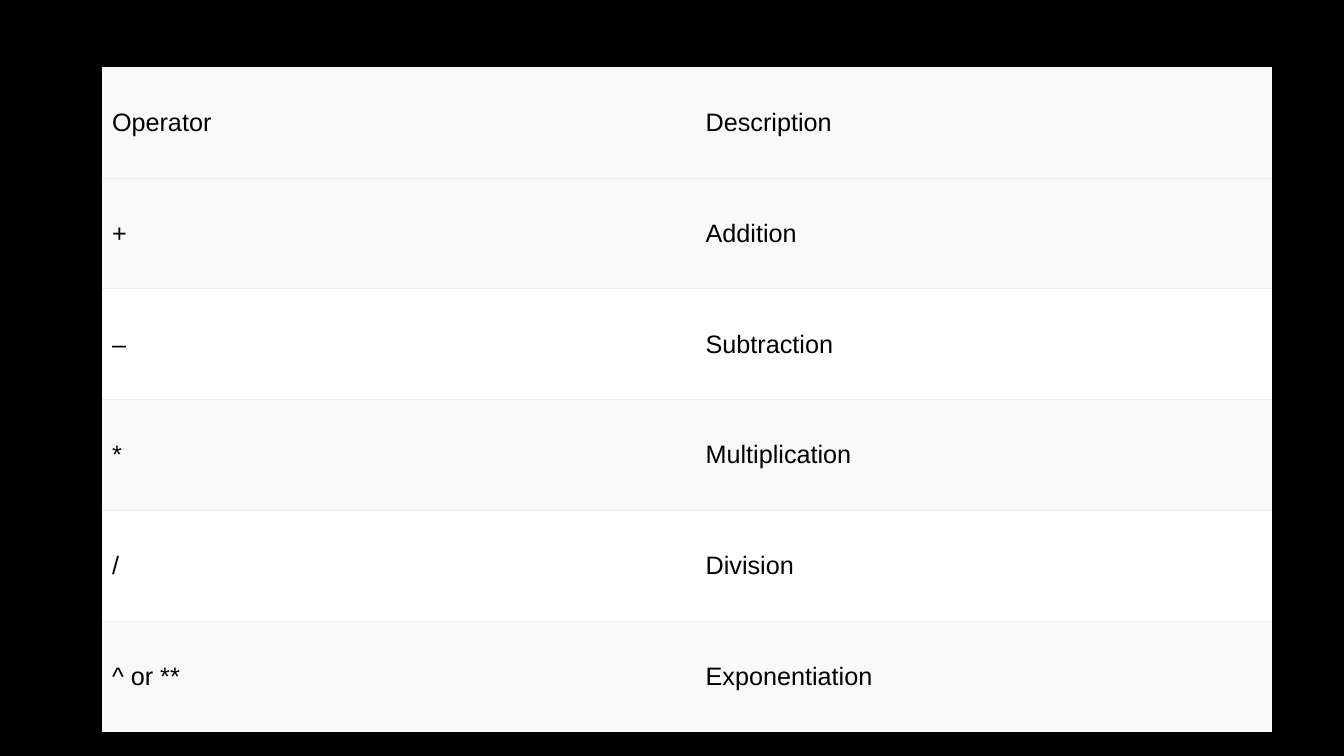
"""Build a slide with a table of arithmetic operators."""
from lxml import etree
from pptx import Presentation
from pptx import util as u
from pptx.dml import color
from pptx.enum import text
from pptx.oxml import ns

OPERATORS = [
    ("Operator", "Description"),
    ("+", "Addition"),
    ("–", "Subtraction"),
    ("*", "Multiplication"),
    ("/", "Division"),
    ("^ or **", "Exponentiation"),
]
COLUMN_WIDTHS = (u.Cm(14.96), u.Cm(14.53))
ROW_HEIGHT = u.Cm(2.79)
SHADED, PLAIN, RULE = "F9F9F9", "FFFFFF", "EEEEEE"


def paint(fill, hex_color):
    fill.solid()
    fill.fore_color.rgb = color.RGBColor.from_string(hex_color)


def write(cell, words, size=18, font="Arial", hex_color="000000"):
    cell.vertical_anchor = text.MSO_ANCHOR.MIDDLE
    span = cell.text_frame.paragraphs[0].add_run()
    span.text = words
    span.font.size = u.Pt(size)
    span.font.name = font
    span.font.color.rgb = color.RGBColor.from_string(hex_color)


def set_borders(cell, ruled_sides):
    properties = cell._tc.get_or_add_tcPr()
    for side in ("L", "R", "T", "B"):
        line = etree.SubElement(properties, ns.qn(f"a:ln{side}"), w=str(u.Pt(0.75)))
        if side in ruled_sides:
            fill = etree.SubElement(line, ns.qn("a:solidFill"))
            etree.SubElement(fill, ns.qn("a:srgbClr"), val=RULE)
        else:
            etree.SubElement(line, ns.qn("a:noFill"))


def add_operator_table(page):
    frame = page.shapes.add_table(
        len(OPERATORS), len(COLUMN_WIDTHS), u.Cm(2.57), u.Cm(1.7),
        sum(COLUMN_WIDTHS), ROW_HEIGHT * len(OPERATORS))
    table = frame.table
    table.first_row = table.horz_banding = False
    for column, width in zip(table.columns, COLUMN_WIDTHS):
        column.width = width
    last = len(OPERATORS) - 1
    for index, words in enumerate(OPERATORS):
        table.rows[index].height = ROW_HEIGHT
        ruled_sides = ("T" if index > 0 else "") + ("B" if index < last else "")
        shade = SHADED if index == 0 or index % 2 else PLAIN
        for cell, label in zip(table.rows[index].cells, words):
            set_borders(cell, ruled_sides)
            paint(cell.fill, shade)
            write(cell, label)


def main():
    deck = Presentation()
    deck.slide_width, deck.slide_height = u.Cm(33.87), u.Cm(19.05)
    page = deck.slides.add_slide(deck.slide_layouts[6])
    paint(page.background.fill, "000000")
    add_operator_table(page)
    deck.save("out.pptx")


if __name__ == "__main__":
    main()
